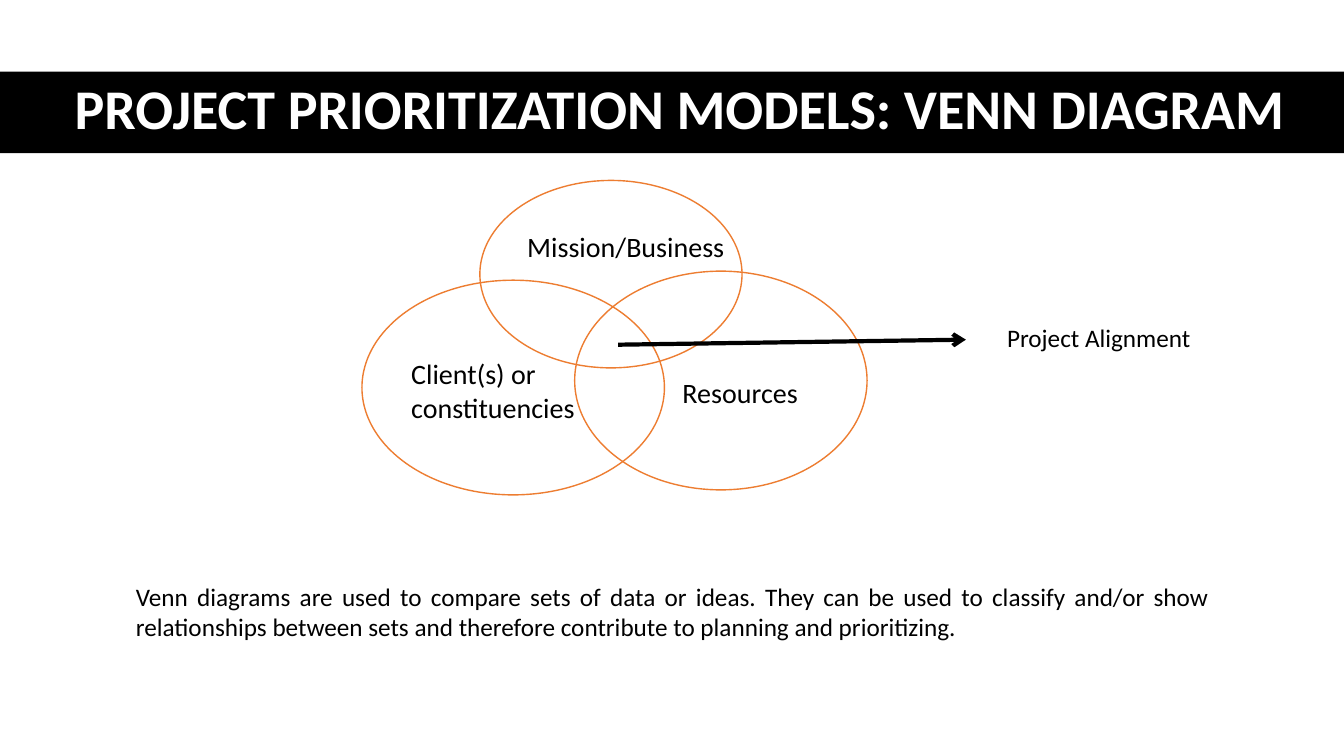
import pptx
import pptx.util
import pptx.dml.color
import pptx.enum.shapes
import pptx.enum.text
import pptx.oxml
import pptx.oxml.ns

Inches = pptx.util.Inches
Align = pptx.enum.text.PP_ALIGN
Shape = pptx.enum.shapes.MSO_SHAPE

# Content: boxes are left, top, width, height in inches
BLACK, WHITE, ORANGE = "000000", "FFFFFF", "ED7D31"
TITLE = "PROJECT PRIORITIZATION MODELS: VENN DIAGRAM"
TITLE_BOX = (0.61, 0.7, 12.26, 0.81)
BAND_BOX = (0, 0.71, 13.33, 0.81)
CIRCLES = [
    (3.59, 2.78, 3, 2.13),
    (5.7, 2.69, 2.9, 2.17),
    (4.76, 1.79, 2.6, 1.86),
]
ARROW = (6.13, 3.42, 9.58, 3.37)
TEXTS = [
    ("Project Alignment", (9.89, 3.15, 2.5, 0.42), 18, Align.LEFT),
    ("Resources", (6.67, 3.68, 1.71, 0.45), 20, Align.LEFT),
    ("Client(s) or constituencies", (3.98, 3.49, 2.3, 0.8), 20, Align.LEFT),
    ("Mission/Business", (5.13, 2.23, 2.19, 0.44), 20, Align.LEFT),
    ("Venn diagrams are used to compare sets of data or ideas. "
     "They can be used to classify and/or show relationships between "
     "sets and therefore contribute to planning and prioritizing.",
     (1.25, 5.72, 10.84, 0.71), 18, Align.JUSTIFY),
]


def color(value):
    return pptx.dml.color.RGBColor.from_string(value)


def lengths(values):
    return [Inches(value) for value in values]


def apply(target, formats):
    for name, value in formats.items():
        setattr(target, name, value)


def write(box, text, size, align, ink=BLACK, bold=False):
    para = box.text_frame.paragraphs[0]
    para.alignment = align
    span = para.add_run()
    span.text = text
    apply(span.font, {"name": "Calibri", "size": pptx.util.Pt(size), "bold": bold})
    span.font.color.rgb = color(ink)
    return para


def draw(page, kind, box, fill=None, line=None):
    shape = page.shapes.add_shape(kind, *lengths(box))
    shape.shadow.inherit = False
    if fill:
        shape.fill.solid()
        shape.fill.fore_color.rgb = color(fill)
    else:
        shape.fill.background()
    if line:
        shape.line.color.rgb = color(line)
        shape.line.width = pptx.util.Pt(1)
    else:
        shape.line.fill.background()
    return shape


def main():
    deck = pptx.Presentation()
    apply(deck, {"slide_width": Inches(13.33), "slide_height": Inches(7.5)})
    page = deck.slides.add_slide(deck.slide_layouts[5])

    # Title on a black band, with the band behind
    title = page.shapes.title
    apply(title, dict(zip(("left", "top", "width", "height"), lengths(TITLE_BOX))))
    apply(title.text_frame, {
        "word_wrap": True,
        "auto_size": pptx.enum.text.MSO_AUTO_SIZE.NONE,
        "vertical_anchor": pptx.enum.text.MSO_ANCHOR.MIDDLE,
    })
    write(title, TITLE, 40, Align.CENTER, WHITE, True).line_spacing = 0.9
    band = draw(page, Shape.RECTANGLE, BAND_BOX, fill=BLACK)
    title.element.addprevious(band.element)

    # Venn circles
    for box in CIRCLES:
        draw(page, Shape.OVAL, box, line=ORANGE)

    # Arrow from the overlap to its label
    arrow = page.shapes.add_connector(
        pptx.enum.shapes.MSO_CONNECTOR.STRAIGHT, *lengths(ARROW))
    arrow.line.color.rgb = color(BLACK)
    arrow.line.width = pptx.util.Pt(3)
    namespace = pptx.oxml.ns.nsdecls("a")
    arrow.line.fill  # the line element exists from here on
    outline = arrow.element.spPr.find(pptx.oxml.ns.qn("a:ln"))
    outline.append(pptx.oxml.parse_xml(f'<a:tailEnd {namespace} type="arrow"/>'))
    arrow.element.spPr.append(pptx.oxml.parse_xml(f"<a:effectLst {namespace}/>"))

    # Labels and explanation
    for text, box, size, align in TEXTS:
        label = page.shapes.add_textbox(*lengths(box))
        apply(label.text_frame, {
            "word_wrap": True,
            "auto_size": pptx.enum.text.MSO_AUTO_SIZE.SHAPE_TO_FIT_TEXT,
        })
        write(label, text, size, align)

    deck.save("out.pptx")


if __name__ == "__main__":
    main()
